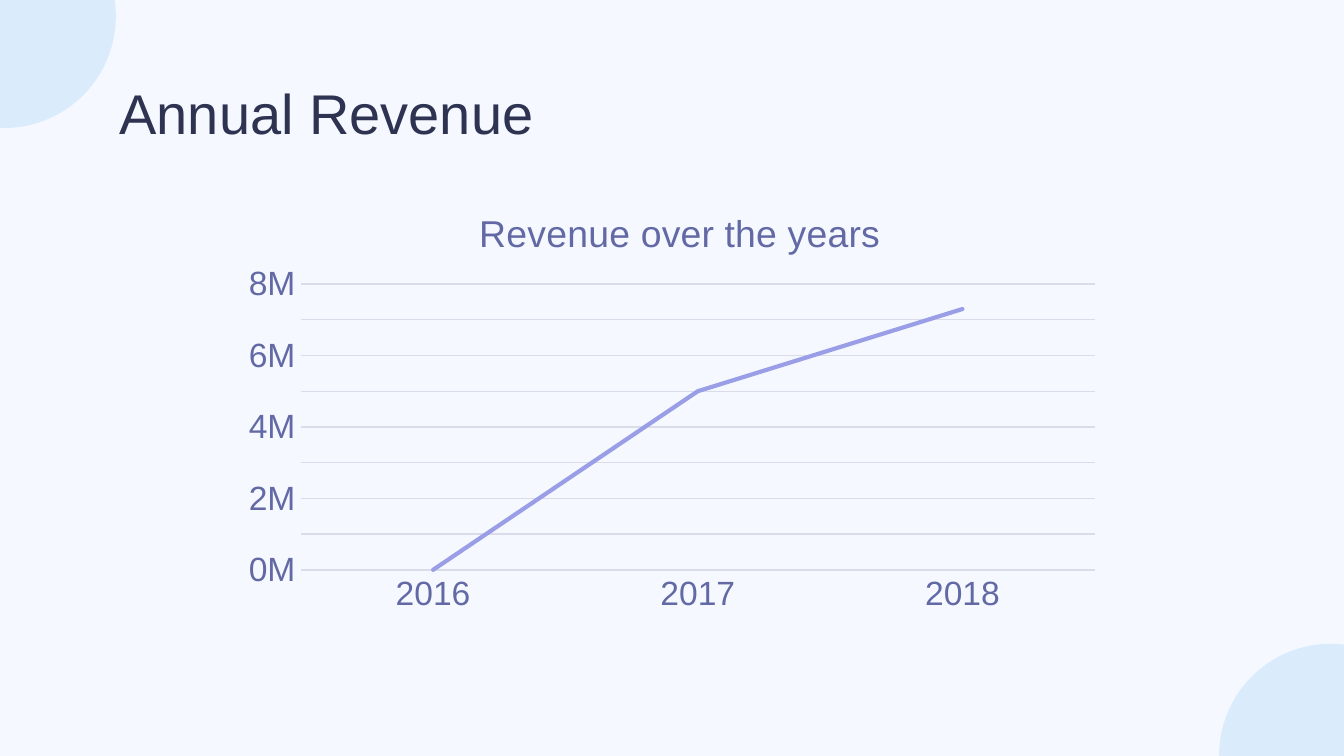
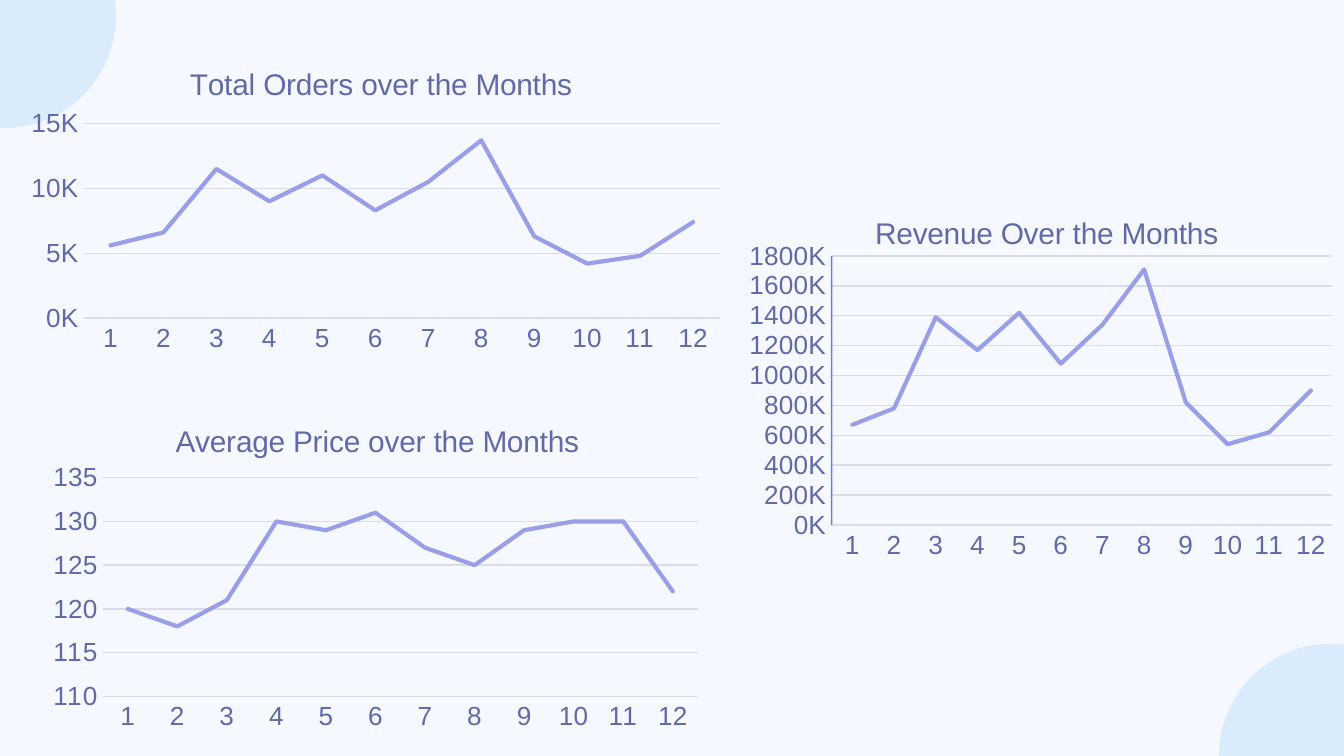
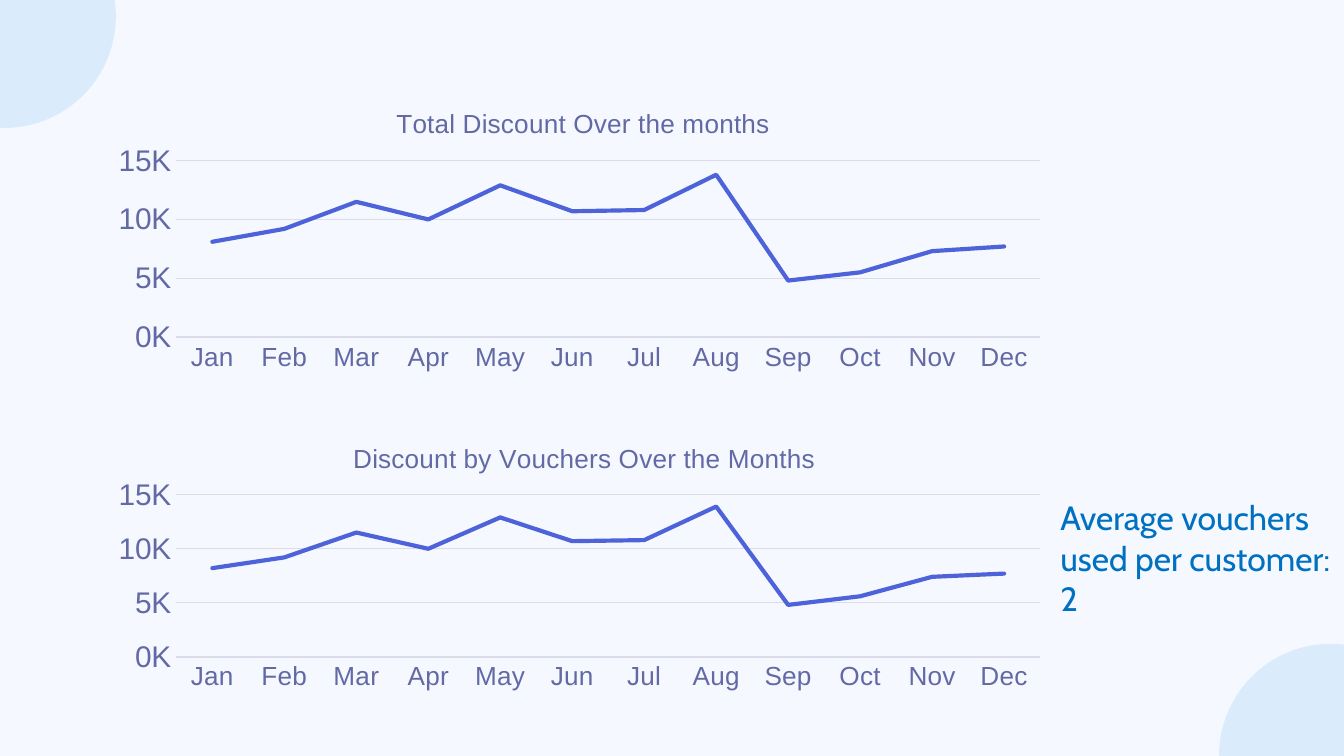
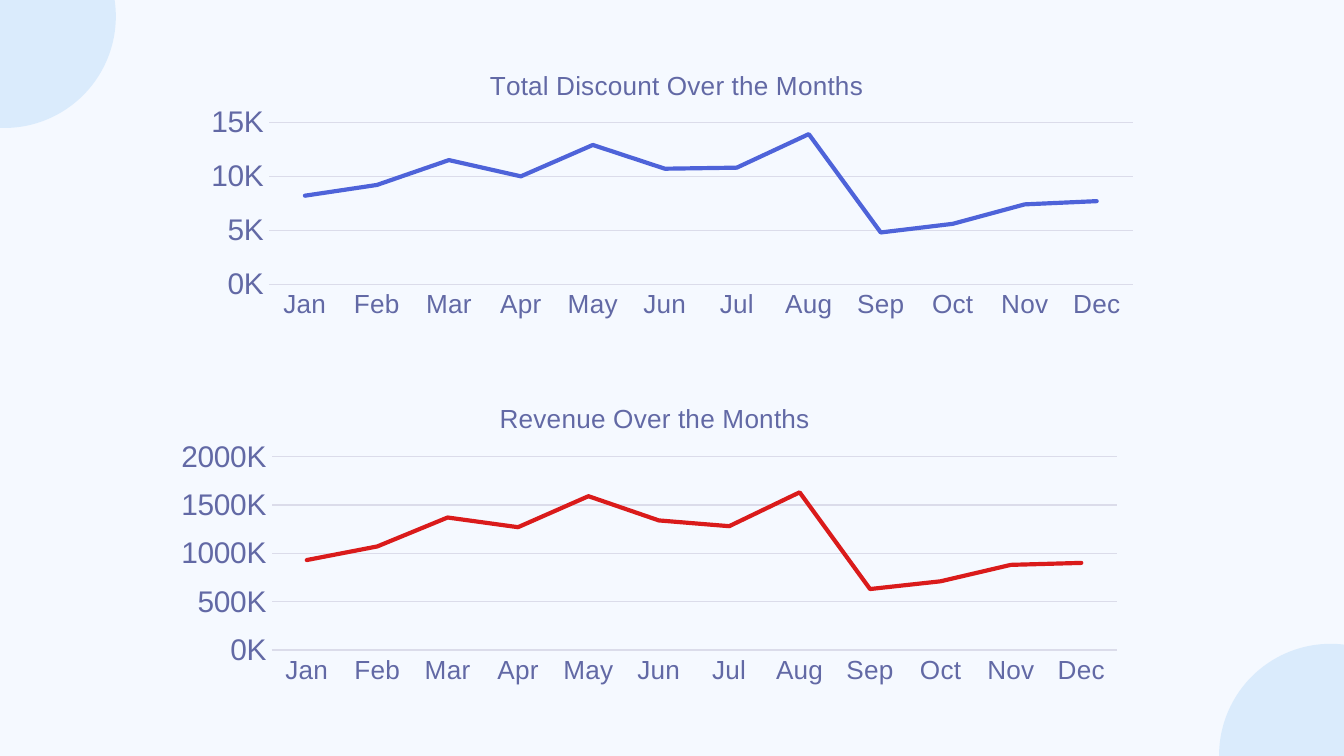
import dataclasses

import pptx
import pptx.chart.data
import pptx.dml.color
import pptx.enum.chart
import pptx.enum.shapes
import pptx.oxml
import pptx.oxml.ns
import pptx.util

Cm = pptx.util.Cm
Pt = pptx.util.Pt
RGBColor = pptx.dml.color.RGBColor

BACKGROUND = RGBColor(0xF5, 0xF9, 0xFF)
BUBBLE = RGBColor(0x76, 0xB8, 0xF4)
NAVY = RGBColor(0x2F, 0x33, 0x52)
SLATE = RGBColor(0x62, 0x69, 0xA5)
GRID = RGBColor(0xDB, 0xDC, 0xEA)
LAVENDER = RGBColor(0x9A, 0x9E, 0xE6)
BLUE = RGBColor(0x4E, 0x63, 0xD9)
RED = RGBColor(0xDA, 0x1B, 0x1B)
NOTE_BLUE = RGBColor(0x00, 0x70, 0xC0)
FONT = "Arial"

BUBBLE_SIZE = 4.22
BUBBLE_CORNERS = [(-2.03, -1.8), (23.04, 12.17)]

THOUSANDS = '0,"K"'
MILLIONS = '0,,"M"'
MONTH_NUMBERS = [str(month) for month in range(1, 13)]
MONTH_NAMES = "Jan Feb Mar Apr May Jun Jul Aug Sep Oct Nov Dec".split()

ORDERS = [5600, 6600, 11500, 9000, 11000, 8300,
          10500, 13700, 6300, 4200, 4800, 7400]
PRICES = [120, 118, 121, 130, 129, 131, 127, 125, 129, 130, 130, 122]
REVENUE = [670000, 780000, 1390000, 1170000, 1420000, 1080000,
           1340000, 1710000, 820000, 540000, 620000, 900000]
TOTAL_DISCOUNT = [8100, 9200, 11500, 10000, 12900, 10700,
                  10800, 13800, 4800, 5500, 7300, 7700]
VOUCHER_DISCOUNT = [8200, 9200, 11500, 10000, 12900, 10700,
                    10800, 13900, 4800, 5600, 7400, 7700]
DISCOUNTED_REVENUE = [930000, 1070000, 1370000, 1270000, 1590000, 1340000,
                      1280000, 1630000, 630000, 710000, 880000, 900000]


@dataclasses.dataclass
class Trend:
    """Line chart content; plot and title_at are percentages of the chart box."""
    title: str
    categories: list
    values: list
    scale: tuple  # minimum, maximum, step
    plot: tuple
    title_at: tuple
    number_format: str = THOUSANDS
    color: RGBColor = LAVENDER
    title_size: int = 16
    category_size: int = 14
    value_size: int = 14
    axis_line: bool = False


def style_font(font, size, color, name=FONT):
    font.size = Pt(size)
    font.name = name
    font.bold = False
    font.color.rgb = color


def set_alpha(color_parent, percent):
    """Make the solid colour found inside an XML element translucent."""
    color = color_parent.xpath(".//a:solidFill/a:srgbClr")[0]
    alpha = pptx.oxml.parse_xml(
        f'<a:alpha {pptx.oxml.ns.nsdecls("a")} val="{percent * 1000}"/>')
    color.append(alpha)


def set_layout(parent, percents, inner=False):
    """Fix the place of a chart's title or plot area."""
    for old in parent.xpath("c:layout"):
        parent.remove(old)
    names = ["x", "y", "w", "h"][:len(percents)]
    target = '<c:layoutTarget val="inner"/>' if inner else ""
    modes = "".join(f'<c:{n}Mode val="edge"/>' for n in names[:2])
    places = "".join(f'<c:{n} val="{p / 100:.3f}"/>'
                     for n, p in zip(names, percents))
    layout = pptx.oxml.parse_xml(
        f'<c:layout {pptx.oxml.ns.nsdecls("c")}><c:manualLayout>'
        f'{target}{modes}{places}</c:manualLayout></c:layout>')
    parent.insert(len(parent.xpath("c:tx")), layout)


def style_axes(chart, trend):
    months, amounts = chart.category_axis, chart.value_axis
    for axis, size in ((months, trend.category_size),
                       (amounts, trend.value_size)):
        axis.major_tick_mark = pptx.enum.chart.XL_TICK_MARK.NONE
        axis.minor_tick_mark = pptx.enum.chart.XL_TICK_MARK.NONE
        style_font(axis.tick_labels.font, size, SLATE)
    amounts.minimum_scale, amounts.maximum_scale, amounts.major_unit = trend.scale
    amounts.tick_labels.number_format = trend.number_format
    amounts.tick_labels.number_format_is_linked = False
    amounts.has_major_gridlines = True
    for line in (months.format.line, amounts.major_gridlines.format.line):
        line.color.rgb = GRID
        line.width = Pt(0.75)
    axis_line = amounts.format.line
    if trend.axis_line:
        axis_line.color.rgb = BLUE
        axis_line.width = Pt(0.75)
        set_alpha(chart.element.xpath(".//c:valAx/c:spPr")[0], 83)
    else:
        axis_line.fill.background()


def add_trend(slide, box, trend):
    data = pptx.chart.data.CategoryChartData()
    data.categories = trend.categories
    data.add_series("Series 1", trend.values)
    chart = slide.shapes.add_chart(pptx.enum.chart.XL_CHART_TYPE.LINE,
                                   *map(Cm, box), data).chart
    style_font(chart.font, 10, NAVY)
    chart.has_legend = False
    chart.has_title = True
    heading = chart.chart_title.text_frame
    heading.text = trend.title
    style_font(heading.paragraphs[0].runs[0].font, trend.title_size, SLATE)
    chart.chart_title.include_in_layout = False

    style_axes(chart, trend)
    chart.plots[0].vary_by_categories = False
    series = chart.plots[0].series[0]
    series.smooth = False
    series.format.line.color.rgb = trend.color
    series.format.line.width = Pt(2.25)
    chart.element.xpath(".//c:ser/c:spPr/a:ln")[0].set("cap", "rnd")

    set_layout(chart.element.xpath("c:chart/c:title")[0], trend.title_at)
    set_layout(chart.element.xpath("c:chart/c:plotArea")[0], trend.plot, inner=True)


def add_text(slide, box, text, size, color, font=FONT, inset=0.13):
    frame = slide.shapes.add_textbox(*map(Cm, box)).text_frame
    frame.word_wrap = True
    frame.margin_top = frame.margin_bottom = Cm(inset)
    frame.text = text
    style_font(frame.paragraphs[0].runs[0].font, size, color, font)


def add_slide(deck):
    """Add a blank slide with the two corner bubbles."""
    slide = deck.slides.add_slide(deck.slide_layouts[6])
    for left, top in BUBBLE_CORNERS:
        bubble = slide.shapes.add_shape(
            pptx.enum.shapes.MSO_SHAPE.OVAL,
            Cm(left), Cm(top), Cm(BUBBLE_SIZE), Cm(BUBBLE_SIZE))
        bubble.shadow.inherit = False
        bubble.fill.solid()
        bubble.fill.fore_color.rgb = BUBBLE
        bubble.line.fill.background()
        set_alpha(bubble.element.spPr, 21)
    return slide


def add_annual_revenue(deck):
    slide = add_slide(deck)
    add_text(slide, (2.01, 1.24, 21.41, 1.6), "Annual Revenue", 30, NAVY, inset=0.25)
    add_trend(slide, (4.37, 3.33, 16.64, 8.43), Trend(
        "Revenue over the years", ["2016", "2017", "2018"],
        [0, 5000000, 7300000], (0, 8000000, 1000000),
        plot=(7.9, 24.2, 90.2, 64.1), title_at=(27.4, 6),
        number_format=MILLIONS, title_size=20, category_size=18, value_size=18))


def add_monthly_sales(deck):
    slide = add_slide(deck)
    add_trend(slide, (0.3, 0.74, 13.56, 6.07), Trend(
        "Total Orders over the Months", MONTH_NUMBERS, ORDERS, (0, 15000, 5000),
        plot=(9.5, 26.3, 88.6, 60.6), title_at=(23.5, 6.5)))
    add_trend(slide, (0.74, 7.49, 12.7, 6.45), Trend(
        "Average Price over the Months", MONTH_NUMBERS, PRICES, (110, 135, 5),
        plot=(9.5, 23.9, 88.5, 64.1), title_at=(19.5, 6),
        number_format="General"))
    add_trend(slide, (13.94, 3.56, 11.46, 7.16), Trend(
        "Revenue Over the Months", MONTH_NUMBERS, REVENUE, (0, 1800000, 200000),
        plot=(15.5, 17.9, 82.5, 71), title_at=(21.8, 5.5),
        number_format='##0,"K"', axis_line=True))


def discount_trend(title, values, plot, title_at,
                   scale=(0, 15000, 5000), color=BLUE):
    return Trend(title, MONTH_NAMES, values, scale, plot, title_at,
                 color=color, title_size=14, value_size=16)


def add_discounts(deck):
    slide = add_slide(deck)
    add_trend(slide, (1.88, 7.9, 18.16, 5.28), discount_trend(
        "Discount by Vouchers Over the Months", VOUCHER_DISCOUNT,
        plot=(8, 27.5, 89.9, 58.1), title_at=(25.9, 6.8)))
    add_trend(slide, (1.88, 1.57, 18.16, 5.56), discount_trend(
        "Total Discount Over the months", TOTAL_DISCOUNT,
        plot=(8, 26.4, 89.9, 60), title_at=(30.4, 6.4)))
    add_text(slide, (19.79, 9.27, 5.61, 2.57),
             "Average vouchers used per customer: 2", 18, NOTE_BLUE, "Cabin")


def add_discount_and_revenue(deck):
    slide = add_slide(deck)
    add_trend(slide, (3.63, 0.86, 18.16, 5.28), discount_trend(
        "Total Discount Over the Months", VOUCHER_DISCOUNT,
        plot=(8, 27.5, 89.9, 58.1), title_at=(30.5, 6.5)))
    add_trend(slide, (3.07, 7.14, 18.42, 5.92), discount_trend(
        "Revenue Over the Months", DISCOUNTED_REVENUE,
        plot=(11.2, 25.2, 86.7, 61.8), title_at=(34.1, 6.2),
        scale=(0, 2000000, 500000), color=RED))


def main():
    deck = pptx.Presentation()
    deck.slide_width, deck.slide_height = Cm(25.4), Cm(14.29)
    backdrop = deck.slide_master.background.fill
    backdrop.solid()
    backdrop.fore_color.rgb = BACKGROUND
    add_annual_revenue(deck)
    add_monthly_sales(deck)
    add_discounts(deck)
    add_discount_and_revenue(deck)
    deck.save("out.pptx")


if __name__ == "__main__":
    main()
